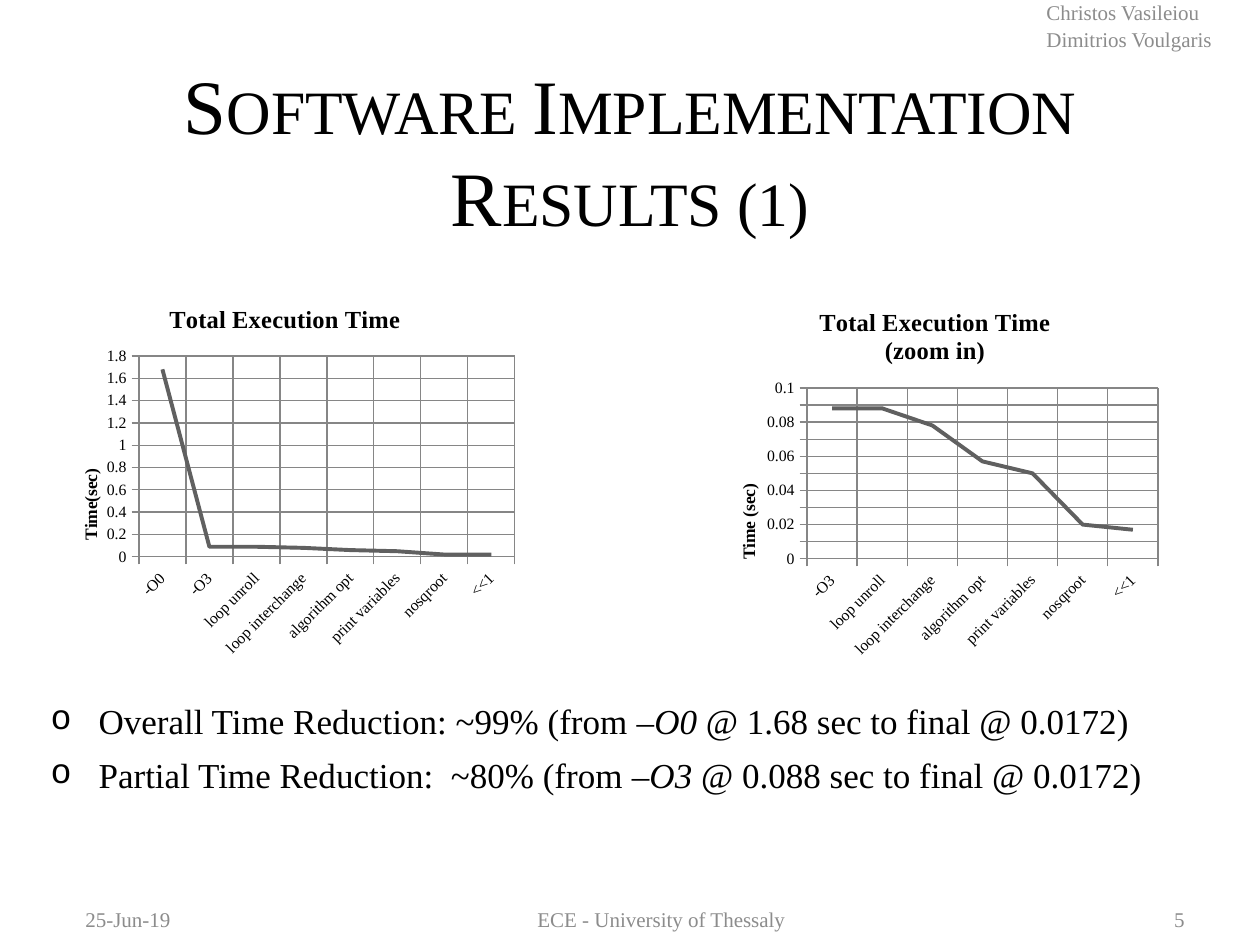
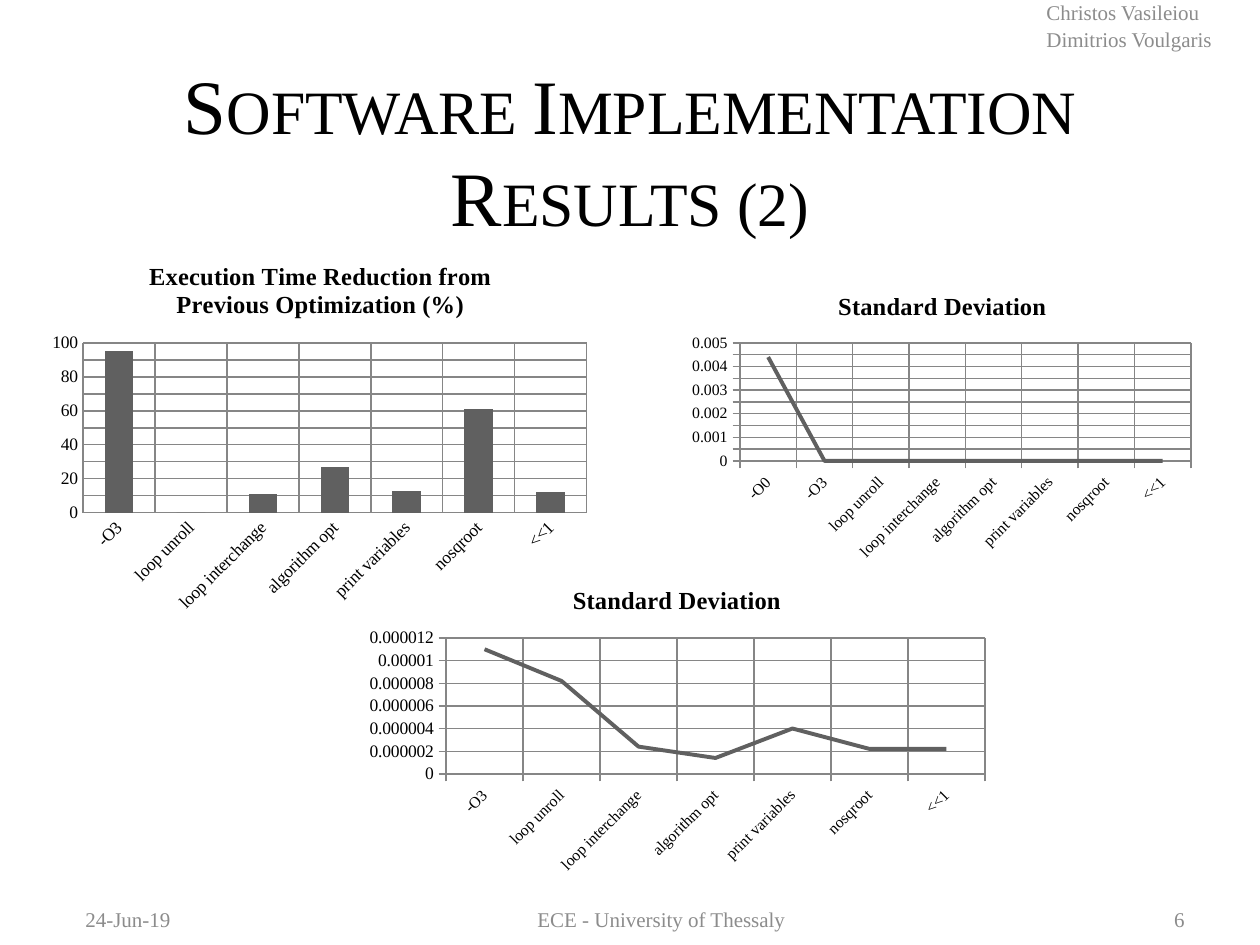
"""Build two slides of software optimization results with charts."""
import pptx
import pptx.chart.data
import pptx.dml.color
import pptx.enum.chart
import pptx.enum.text
import pptx.oxml
import pptx.oxml.ns
import pptx.util

FONT = "Times New Roman"
BLACK, GRAY, GRID, SERIES = "000000", "8C8C8C", "868686", "606060"
SCALE = 914400 / 126
STEPS = ["-O0", "-O3", "loop unroll", "loop interchange", "algorithm opt",
         "print variables", "nosqroot", "<<1"]
LINE = pptx.enum.chart.XL_CHART_TYPE.LINE
COLUMN = pptx.enum.chart.XL_CHART_TYPE.COLUMN_CLUSTERED
LEFT, CENTER, RIGHT = (pptx.enum.text.PP_ALIGN.LEFT, pptx.enum.text.PP_ALIGN.CENTER,
                       pptx.enum.text.PP_ALIGN.RIGHT)
MIDDLE = pptx.enum.text.MSO_ANCHOR.MIDDLE
color = pptx.dml.color.RGBColor.from_string


def px(*lengths):
    """Turn pixel lengths into EMU."""
    return [pptx.util.Emu(round(length * SCALE)) for length in lengths]


def style(font, size, hex_color, bold=False):
    """Set the typeface, size, colour and weight of a font."""
    font.name = FONT
    font.size = pptx.util.Pt(size)
    font.color.rgb = color(hex_color)
    font.bold = bold


slides = [
    {
        "number": "1", "page": "5", "date": "25-Jun-19",
        "bullets": [
            ["Overall Time Reduction: ~99% (from ", "–O0 ", "@ 1.68 sec to final @ 0.0172)"],
            ["Partial Time Reduction:  ~80% (from ", "–O3 ", "@ 0.088 sec to final @ 0.0172)"],
        ],
        "charts": [
            {"type": LINE, "title": "Total Execution Time", "box": (45, 285, 480, 381),
             "plot": (139, 356, 376, 201), "maximum": 1.8, "unit": 0.2, "sizes": (9, 9),
             "axis_title": "Time(sec)", "axis_title_at": (76, 466),
             "values": [1.68, 0.09, 0.09, 0.08, 0.06, 0.05, 0.02, 0.02]},
            {"type": LINE, "title": "Total Execution Time\n(zoom in)", "box": (703, 289, 464, 378),
             "plot": (807, 388, 351, 171), "maximum": 0.1, "unit": 0.01, "sizes": (9, 9),
             "axis_title": "Time (sec)", "axis_title_at": (734, 481),
             "values": [0.088, 0.088, 0.078, 0.057, 0.05, 0.02, 0.017]},
        ],
    },
    {
        "number": "2", "page": "6", "date": "24-Jun-19", "bullets": [],
        "charts": [
            {"type": COLUMN, "title": "Execution Time Reduction from Previous Optimization (%)",
             "box": (42, 242, 557, 378), "plot": (83, 343, 504, 170), "maximum": 100, "unit": 10,
             "sizes": (10, 10), "values": [95, 0, 11, 27, 13, 61, 12]},
            {"type": LINE, "title": "Standard Deviation", "box": (683, 273, 519, 294),
             "plot": (740, 343, 451, 118), "maximum": 0.005, "unit": 0.0005, "sizes": (9, 9),
             "values": [0.0044, 0, 0, 0, 0, 0, 0, 0]},
            {"type": LINE, "title": "Standard Deviation", "box": (357, 567, 640, 314),
             "plot": (446, 638, 539, 136), "maximum": 0.000012, "unit": 0.000002, "sizes": (9, 10),
             "values": [0.000011, 0.0000082, 0.0000024, 0.0000014, 0.000004, 0.0000022, 0.0000022]},
        ],
    },
]

presentation = pptx.Presentation()
presentation.slide_width, presentation.slide_height = px(1260, 945)

for content in slides:
    layout = presentation.slide_layouts[1 if content["bullets"] else 5]
    slide = presentation.slides.add_slide(layout)

    title = slide.shapes.title
    title.left, title.top, title.width, title.height = px(63, 38, 1134, 224)
    title.text_frame.vertical_anchor = MIDDLE
    paragraph = title.text_frame.paragraphs[0]
    paragraph.alignment = CENTER
    for index, text in enumerate(["Software Implementation", f"Results ({content['number']})"]):
        if index:
            paragraph.add_line_break()
        run = paragraph.add_run()
        run.text = text
        style(run.font, 44, BLACK)
        run.font._element.set("cap", "small")

    for box, lines, alignment in [
        ((1034, 0, 221, 50), ["Christos Vasileiou", "Dimitrios Voulgaris"], LEFT),
        ((903, 893, 294, 50), [content["page"]], RIGHT),
        ((73, 893, 126, 50), [content["date"]], LEFT),
        ((525, 893, 284, 50), ["ECE - University of Thessaly"], LEFT),
    ]:
        text_frame = slide.shapes.add_textbox(*px(*box)).text_frame
        text_frame.word_wrap = True
        text_frame.vertical_anchor = MIDDLE
        for index, line in enumerate(lines):
            paragraph = text_frame.add_paragraph() if index else text_frame.paragraphs[0]
            paragraph.alignment = alignment
            paragraph.line_spacing = 1.06
            run = paragraph.add_run()
            run.text = line
            style(run.font, 12, GRAY)

    for item in content["charts"]:
        chart_data = pptx.chart.data.CategoryChartData()
        chart_data.categories = STEPS[-len(item["values"]):]
        chart_data.add_series("Series 1", item["values"])
        left, top, width, height = item["box"]
        chart = slide.shapes.add_chart(item["type"], *px(*item["box"]), chart_data).chart
        chart.has_legend = False
        style(chart.font, 10, BLACK)
        chart.has_title = True
        chart.chart_title.include_in_layout = False
        chart.chart_title.text_frame.text = item["title"]
        for paragraph in chart.chart_title.text_frame.paragraphs:
            style(paragraph.runs[0].font, 14, BLACK, True)

        plot = chart.plots[0]
        plot.vary_by_categories = False
        series = plot.series[0]
        if item["type"] == LINE:
            series.smooth = False
            series.format.line.color.rgb = color(SERIES)
            series.format.line.width = pptx.util.Pt(2.25)
            tick_mark = pptx.enum.chart.XL_TICK_MARK.OUTSIDE
        else:
            plot.gap_width = 150
            series.format.fill.solid()
            series.format.fill.fore_color.rgb = color(SERIES)
            tick_mark = pptx.enum.chart.XL_TICK_MARK.NONE

        category_axis, value_axis = chart.category_axis, chart.value_axis
        for axis, size in zip((category_axis, value_axis), item["sizes"]):
            axis.major_tick_mark = tick_mark
            axis.has_major_gridlines = True
            for line in (axis.format.line, axis.major_gridlines.format.line):
                line.color.rgb = color(GRID)
                line.width = pptx.util.Pt(0.75)
            style(axis.tick_labels.font, size, BLACK)
        category_axis._element.txPr.find(pptx.oxml.ns.qn("a:bodyPr")).set("rot", "-2700000")
        value_axis.minimum_scale = 0
        value_axis.maximum_scale = item["maximum"]
        value_axis.major_unit = item["unit"]

        plot_left, plot_top, plot_width, plot_height = item["plot"]
        fractions = {"x": (plot_left - left) / width, "y": (plot_top - top) / height,
                     "w": plot_width / width, "h": plot_height / height}
        layouts = [(plot._element.getparent(), 0, '<c:layoutTarget val="inner"/>', fractions)]
        if "axis_title" in item:
            axis_title = value_axis.axis_title
            axis_title.text_frame.text = item["axis_title"]
            style(axis_title.text_frame.paragraphs[0].runs[0].font, 10, BLACK, True)
            body = axis_title._element.find(".//" + pptx.oxml.ns.qn("a:bodyPr"))
            body.set("rot", "-5400000")
            body.set("vert", "horz")
            title_left, title_top = item["axis_title_at"]
            position = {"x": (title_left - left) / width, "y": (title_top - top) / height}
            layouts.append((axis_title._element, 1, "", position))
        for parent, index, target, values in layouts:
            for old_layout in parent.findall(pptx.oxml.ns.qn("c:layout")):
                parent.remove(old_layout)
            modes = "".join(f'<c:{key}Mode val="edge"/>' for key in "xy")
            places = "".join(f'<c:{key} val="{value:.4f}"/>' for key, value in values.items())
            parent.insert(index, pptx.oxml.parse_xml(
                f'<c:layout {pptx.oxml.ns.nsdecls("c")}><c:manualLayout>'
                f'{target}{modes}{places}</c:manualLayout></c:layout>'))

    if content["bullets"]:
        body = slide.placeholders[1]
        body.left, body.top, body.width, body.height = px(38, 693, 1150, 110)
        text_frame = body.text_frame
        text_frame.auto_size = pptx.enum.text.MSO_AUTO_SIZE.NONE
        for index, parts in enumerate(content["bullets"]):
            paragraph = text_frame.add_paragraph() if index else text_frame.paragraphs[0]
            paragraph.space_before = pptx.util.Pt(6.7)
            properties = paragraph._element.get_or_add_pPr()
            indent = px(48)[0]
            properties.set("marL", str(indent))
            properties.set("indent", str(-indent))
            for tag in ('buFont {} typeface="Courier New"', 'buChar {} char="o"'):
                properties.append(pptx.oxml.parse_xml(
                    "<a:" + tag.format(pptx.oxml.ns.nsdecls("a")) + "/>"))
            for position, text in enumerate(parts):
                run = paragraph.add_run()
                run.text = text
                style(run.font, 20, BLACK)
                run.font.italic = position == 1

presentation.save("out.pptx")
